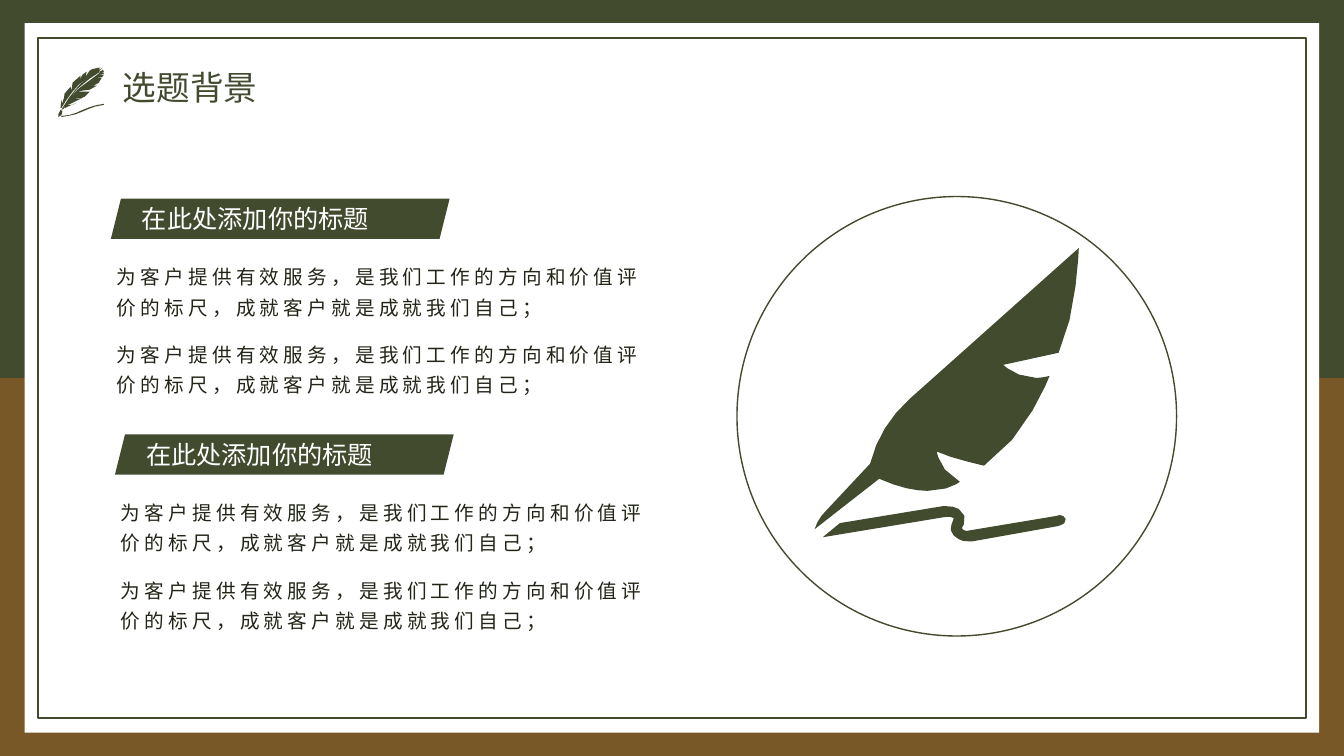
from math import dist
from lxml.etree import SubElement
from pptx import Presentation
from pptx.dml.color import RGBColor
from pptx.enum.shapes import MSO_SHAPE as SHAPE
from pptx.enum.text import MSO_ANCHOR as ANCHOR
from pptx.oxml.ns import qn
from pptx.util import Inches, Pt

COLORS = {"green": "434B2F", "brown": "795827", "white": "FFFFFF", "ink": "222618"}
CJK = "Noto Sans CJK SC"
HEADING = "在此处添加你的标题"
BODY = "为客户提供有效服务，是我们工作的方向和价值评价的标尺，成就客户就是成就我们自己；"

# Outlines in hundredths of an inch: two numbers make a line, six a Bézier curve
QUILL = [
    "128 256; 135 256 140 257 143 259; 149 263 150 268 148 274;"
    "146 278; 148 280; 149 281 152 281 155 280;"
    "239 266; 243 265; 245 265 248 266 249 269; 249 272 247 275 244 275;"
    "241 276; 157 291; 152 291; 149 291 146 291 143 289; 139 287 136 284 135 280;"
    "135 276 136 273 137 271; 138 268; 136 267 133 266 129 267; 8 287; 25 273",
    "262 0; 262 0 260 66 242 104; 187 116; 187 116 200 129 220 129;"
    "224 129 228 128 233 127; 233 127 210 188 168 216; 168 216 136 209 121 202;"
    "121 202 124 222 144 232; 144 232 134 241 112 241; 100 241 84 238 64 229;"
    "0 279; 2 272 6 266 11 261; 55 214; 61 189 75 167 94 150",
]
FEATHER = [
    "2 42; 4 43; 3 47; 0 49; 0 46",
    "45 36; 45 37; 36 38 30 41 23 44; 17 47 10 48 3 49;"
    "3 48; 11 48 18 45 24 42; 31 39 37 37 45 36",
    "43 3; 31 11; 16 20 8 35 5 41; 3 42; 4 40;"
    "10 30 17 21 22 16; 29 11 33 9 37 6",
    "44 2; 45 4; 42 6; 45 5; 45 6; 39 8; 45 7; 44 9; 36 11; 43 10; 40 15;"
    "35 17; 39 16; 34 18; 38 18; 31 22; 23 23; 18 24; 23 24; 31 24; 26 29;"
    "23 30; 15 31; 20 31; 24 30; 12 36; 8 37; 13 37; 18 35; 11 38; 7 40;"
    "5 40; 8 35 17 20 32 12; 40 6",
    "41 0; 39 4; 42 0; 40 3; 44 0; 40 4; 36 7; 32 9 27 12 21 16;"
    "15 21 5 36 3 40; 2 40; 3 32; 4 36; 5 31; 5 34; 6 26; 12 19; 13 23;"
    "14 15; 22 8; 21 12; 24 7; 28 4; 27 9; 31 3; 31 3 35 0 41 0",
]


def rgb(name):
    return RGBColor.from_string(COLORS[name])


def style(sp, fill=None, line=None, width=1):
    sp.shadow.inherit = False
    if fill:
        sp.fill.solid()
        sp.fill.fore_color.rgb = rgb(fill)
    else:
        sp.fill.background()
    if line:
        sp.line.color.rgb = rgb(line)
        sp.line.width = Pt(width)
    else:
        sp.line.fill.background()


def add_shape(s, kind, x, y, w, h, **look):
    sp = s.shapes.add_shape(kind, Inches(x), Inches(y), Inches(w), Inches(h))
    style(sp, **look)


def add_text(s, x, y, w, h, texts, size, color, font=CJK, anchor=ANCHOR.MIDDLE,
             spacing=None, gap=0, tracking=0):
    tf = s.shapes.add_textbox(Inches(x), Inches(y), Inches(w), Inches(h)).text_frame
    tf.word_wrap = True
    tf.vertical_anchor = anchor
    for i, text in enumerate(texts):
        p = tf.paragraphs[0] if i == 0 else tf.add_paragraph()
        if spacing:
            p.line_spacing = spacing
        if gap:
            p.space_before = Pt(gap if i else 0)
            p.space_after = Pt(gap)
        r = p.add_run()
        r.text = text
        r.font.size = Pt(size)
        r.font.name = font
        r.font.color.rgb = rgb(color)
        rPr = r.font._element
        SubElement(rPr, qn("a:ea")).set("typeface", CJK)
        if tracking:
            rPr.set("spc", str(tracking * 100))


def trace(outline):
    """Turn an outline into points, with more of them on longer curves."""
    points = []
    for segment in outline.split(";"):
        n = [float(v) for v in segment.split()]
        if len(n) == 2:
            points.append((n[0], n[1]))
            continue
        a, b, c, d = points[-1], n[:2], n[2:4], n[4:]
        steps = min(4, 2 + int(dist(a, d) / 20))
        for k in range(1, steps + 1):
            t = k / steps
            u = 1 - t
            points.append(tuple(
                u**3 * a[i] + 3 * u * u * t * b[i] + 3 * u * t * t * c[i] + t**3 * d[i]
                for i in (0, 1)))
    return points


def add_outline(s, x, y, outlines):
    fb = None
    for outline in outlines:
        pts = [(Inches(x + px / 100), Inches(y + py / 100)) for px, py in trace(outline)]
        if fb is None:
            fb = s.shapes.build_freeform(*pts[0])
        else:
            fb.move_to(*pts[0])
        fb.add_line_segments(pts[1:], close=True)
    style(fb.convert_to_shape(), fill="green")


def add_frame(s, w, h):
    half = h / 2
    add_shape(s, SHAPE.RECTANGLE, 0, half, w, half, fill="brown")
    add_shape(s, SHAPE.RECTANGLE, 0, 0, w, half, fill="green")
    add_shape(s, SHAPE.RECTANGLE, 0.245, 0.23, 12.84, 7.04, fill="white")
    add_shape(s, SHAPE.RECTANGLE, 0.38, 0.38, 12.575, 6.74, line="green", width=1.5)


def add_header(s, x, y):
    add_outline(s, x, y, FEATHER)
    add_text(s, x + 0.54, y - 0.02, 6, 0.48, ["选题背景"], 24, "green",
             font="Arial", spacing=0.9)


def add_topic(s, x, y):
    add_shape(s, SHAPE.PARALLELOGRAM, x + 0.04, y, 3.36, 0.4, fill="green")
    add_text(s, x, y + 0.54, 5.57, 1.46, [BODY, BODY], 14, "ink", anchor=ANCHOR.TOP,
             spacing=Pt(21.8), gap=6, tracking=3)
    add_text(s, x + 0.25, y, 2.92, 0.4, [HEADING], 18, "white")


def add_emblem(s, x, y, size):
    add_outline(s, x + 0.77, y + 0.51, QUILL)
    add_shape(s, SHAPE.OVAL, x, y, size, size, line="green")


def main():
    prs = Presentation()
    prs.slide_width, prs.slide_height = Inches(13.33), Inches(7.5)
    s = prs.slides.add_slide(prs.slide_layouts[6])
    add_frame(s, 13.33, 7.5)
    add_header(s, 0.58, 0.67)
    # Two topics, the second slightly indented
    for x, y in ((1.06, 1.97), (1.1, 4.31)):
        add_topic(s, x, y)
    add_emblem(s, 7.31, 1.95, 4.36)
    prs.save("out.pptx")


if __name__ == "__main__":
    main()
